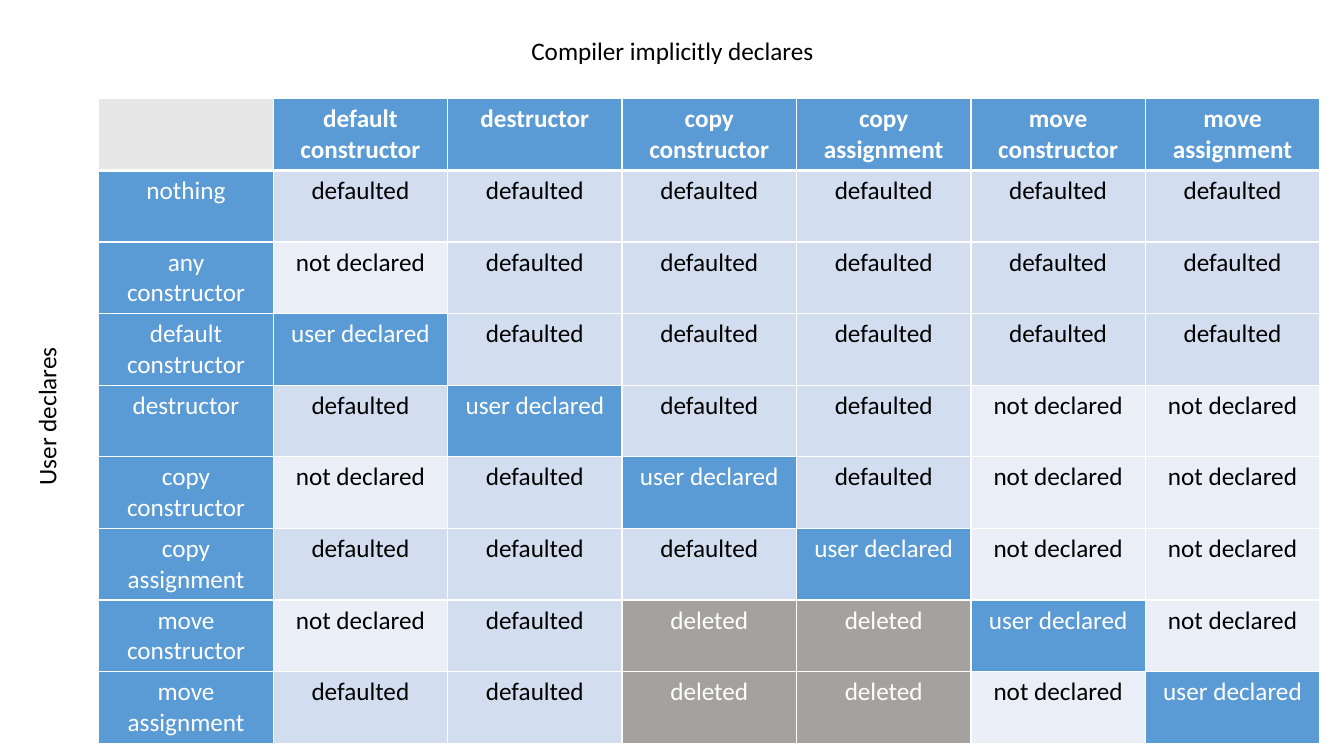
"""Builds a slide showing which special members the compiler implicitly declares."""
import pptx
import pptx.dml.color
import pptx.enum.text
import pptx.oxml
import pptx.oxml.ns
import pptx.util

PX = 9144
WHITE, BLACK, BLUE = "FFFFFF", "000000", "5B9BD5"
MEMBERS = ["default constructor", "destructor", "copy constructor",
           "copy assignment", "move constructor", "move assignment"]
STATES = {
    "D": ("defaulted", "D2DEEF", BLACK),
    "N": ("not declared", "EAEFF7", BLACK),
    "U": ("user declared", BLUE, WHITE),
    "X": ("deleted", "A5A1A1", WHITE),
}
RULES = {
    "nothing": "DDDDDD",
    "any constructor": "NDDDDD",
    "default constructor": "UDDDDD",
    "destructor": "DUDDNN",
    "copy constructor": "NDUDNN",
    "copy assignment": "DDDUNN",
    "move constructor": "NDXXUN",
    "move assignment": "DDXXNU",
}
COLUMN_WIDTH, ROW_HEIGHT = 173, 71


def color(value):
    return pptx.dml.color.RGBColor.from_string(value)


def write(text_frame, text, font_color, bold=False):
    text_frame.text = text
    paragraph = text_frame.paragraphs[0]
    paragraph.alignment = pptx.enum.text.PP_ALIGN.CENTER
    for run in paragraph.runs:
        run.font.name = "Calibri"
        run.font.size = pptx.util.Pt(18)
        run.font.bold = bold
        run.font.color.rgb = color(font_color)


presentation = pptx.Presentation()
presentation.slide_width = 1333 * PX
presentation.slide_height = 750 * PX
slide = presentation.slides.add_slide(presentation.slide_layouts[6])

grid = [[("", "E7E6E6", WHITE)] + [(member, BLUE, WHITE) for member in MEMBERS]]
for declared, codes in RULES.items():
    grid.append([(declared, BLUE, WHITE)] + [STATES[code] for code in codes])

row_count, column_count = len(grid), len(grid[0])
table = slide.shapes.add_table(
    row_count, column_count, 98 * PX, 98 * PX,
    column_count * COLUMN_WIDTH * PX, row_count * ROW_HEIGHT * PX).table
table.horz_banding = False
table.first_col = True
for column in table.columns:
    column.width = COLUMN_WIDTH * PX
for row in table.rows:
    row.height = ROW_HEIGHT * PX

for row_index, entries in enumerate(grid):
    for column_index, (text, fill, font_color) in enumerate(entries):
        cell = table.cell(row_index, column_index)
        write(cell.text_frame, text, font_color, bold=row_index == 0)
        cell.fill.solid()
        cell.fill.fore_color.rgb = color(fill)
        properties = cell._tc.get_or_add_tcPr()
        thick_edge = {0: "lnB", 1: "lnT"}.get(row_index)
        for position, edge in enumerate(["lnL", "lnR", "lnT", "lnB"]):
            width = pptx.util.Pt(3 if edge == thick_edge else 1)
            properties.insert(position, pptx.oxml.parse_xml(
                f'<a:{edge} {pptx.oxml.ns.nsdecls("a")} w="{width}"><a:solidFill>'
                f'<a:srgbClr val="{WHITE}"/></a:solidFill></a:{edge}>'))

for label, left, top, rotation in [("Compiler implicitly declares", 501, 30, 0),
                                   ("User declares", -120, 393, 270)]:
    text_box = slide.shapes.add_textbox(left * PX, top * PX, 332 * PX, 40 * PX)
    text_box.rotation = rotation
    text_box.text_frame.word_wrap = True
    text_box.text_frame.auto_size = pptx.enum.text.MSO_AUTO_SIZE.SHAPE_TO_FIT_TEXT
    write(text_box.text_frame, label, BLACK)

presentation.save("out.pptx")
